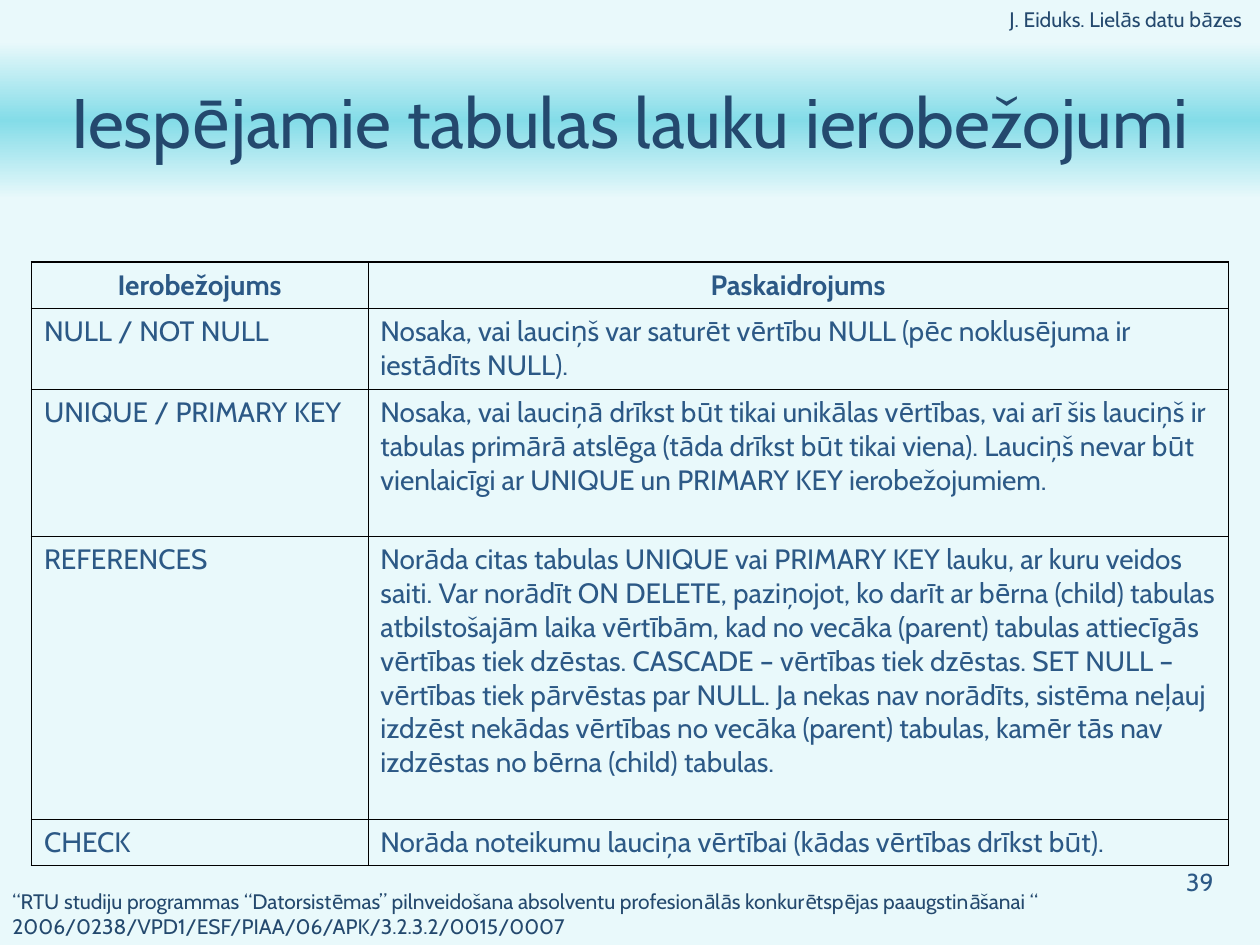
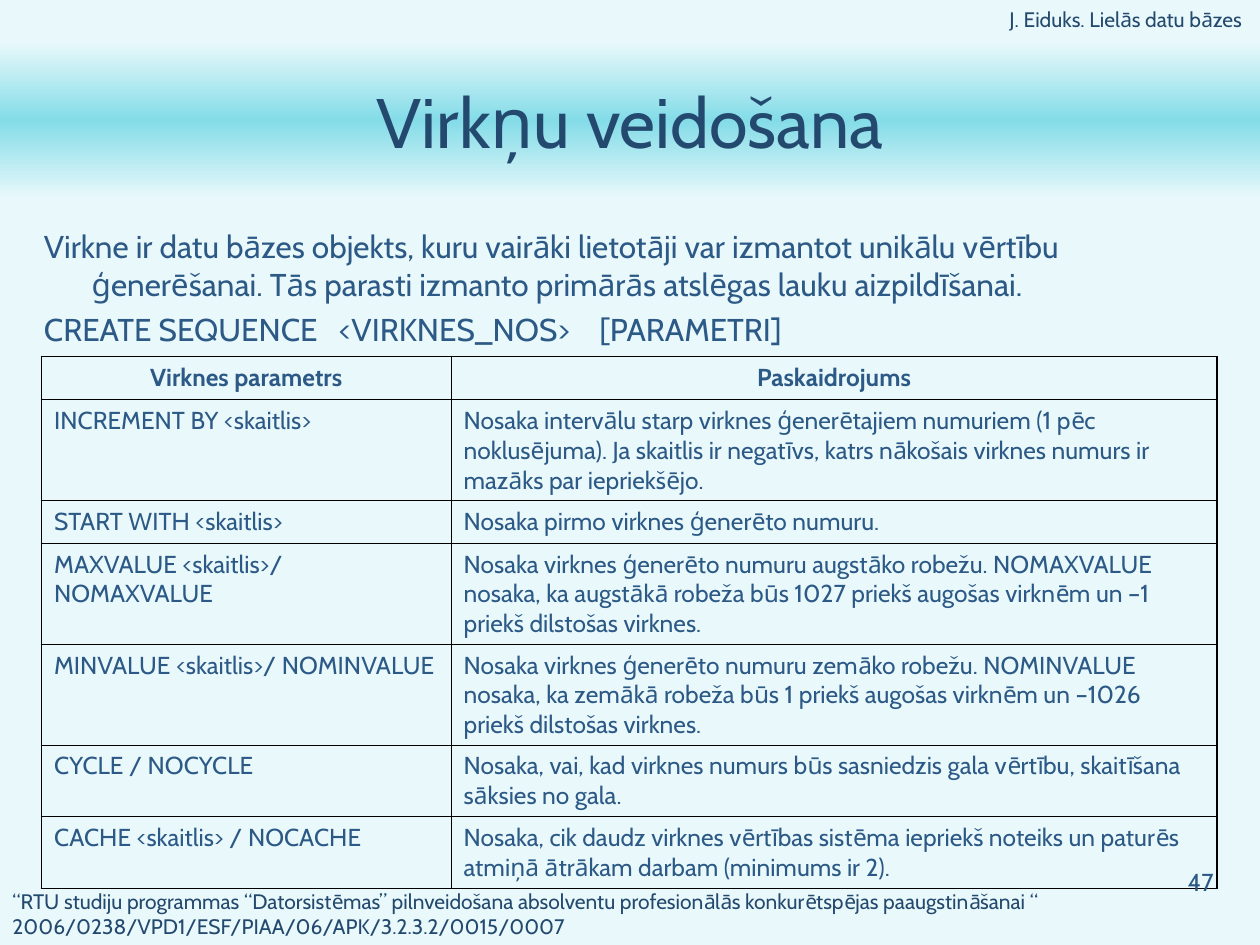
from dataclasses import dataclass

from lxml.etree import SubElement
from pptx import Presentation
from pptx.dml.color import RGBColor
from pptx.enum.shapes import MSO_SHAPE
from pptx.enum.text import MSO_ANCHOR, PP_ALIGN
from pptx.oxml import parse_xml
from pptx.oxml.ns import nsdecls, qn
from pptx.slide import Slide
from pptx.util import Inches, Pt

FONT = "Cabin"
PALE, AQUA, NAVY, BLUE, BLACK = "E9F9FB", "84DCE8", "24496E", "2C5986", "000000"
THICK, THIN = 1.08, 0.45
HEADER = "J. Eiduks. Lielās datu bāzes"
FOOTER = (
    "“RTU studiju programmas “Datorsistēmas” pilnveidošana absolventu "
    "profesionālās konkurētspējas paaugstināšanai “\n"
    "2006/0238/VPD1/ESF/PIAA/06/APK/3.2.3.2/0015/0007"
)


@dataclass
class Box:
    """A place on the slide, in inches."""
    left: float
    top: float
    width: float
    height: float

    def place(self) -> tuple:
        """Give the four lengths in the order python-pptx takes them."""
        return tuple(map(Inches, (self.left, self.top, self.width, self.height)))


@dataclass
class Style:
    """The look of a text."""
    size: float
    color: str
    align: PP_ALIGN = PP_ALIGN.LEFT
    bold: bool = False


@dataclass
class Grid:
    """A table with its header in the first row."""
    box: Box
    size: float
    cols: list[float]
    heights: list[float]
    rows: list[tuple[str, str]]


@dataclass
class Page:
    """The content of one slide."""
    title: str
    number: str
    grid: Grid
    intro: str = ""


TITLE = Style(40, NAVY, PP_ALIGN.CENTER)
HEAD = Style(12, NAVY, PP_ALIGN.RIGHT)
FOOT = Style(12, NAVY)
COUNT = Style(14, BLUE, PP_ALIGN.RIGHT)
BODY = Style(18, BLUE)

PAGES = [
    Page("Iespējamie tabulas lauku ierobežojumi", "39", Grid(
        Box(0.25, 2.08, 9.5, 4.79), 16, [2.67, 6.83], [0.37, 0.64, 1.17, 2.24, 0.37], [
            ("Ierobežojums", "Paskaidrojums"),
            ("NULL / NOT NULL",
             "Nosaka, vai lauciņš var saturēt vērtību NULL (pēc noklusējuma ir "
             "iestādīts NULL)."),
            ("UNIQUE / PRIMARY KEY",
             "Nosaka, vai lauciņā drīkst būt tikai unikālas vērtības, vai arī šis "
             "lauciņš ir tabulas primārā atslēga (tāda drīkst būt tikai viena). "
             "Lauciņš nevar būt vienlaicīgi ar UNIQUE un PRIMARY KEY ierobežojumiem."),
            ("REFERENCES",
             "Norāda citas tabulas UNIQUE vai PRIMARY KEY lauku, ar kuru veidos saiti. "
             "Var norādīt ON DELETE, paziņojot, ko darīt ar bērna (child) tabulas "
             "atbilstošajām laika vērtībām, kad no vecāka (parent) tabulas attiecīgās "
             "vērtības tiek dzēstas. CASCADE – vērtības tiek dzēstas. SET NULL – "
             "vērtības tiek pārvēstas par NULL. Ja nekas nav norādīts, sistēma neļauj "
             "izdzēst nekādas vērtības no vecāka (parent) tabulas, kamēr tās nav "
             "izdzēstas no bērna (child) tabulas."),
            ("CHECK", "Norāda noteikumu lauciņa vērtībai (kādas vērtības drīkst būt)."),
        ])),
    Page("Virkņu veidošana", "47", Grid(
        Box(0.33, 2.83, 9.33, 4.22), 14, [3.25, 6.08],
        [0.34, 0.8, 0.34, 0.8, 0.8, 0.57, 0.57], [
            ("Virknes parametrs", "Paskaidrojums"),
            ("INCREMENT BY <skaitlis>",
             "Nosaka intervālu starp virknes ģenerētajiem numuriem (1 pēc noklusējuma). "
             "Ja skaitlis ir negatīvs, katrs nākošais virknes numurs ir mazāks par "
             "iepriekšējo."),
            ("START WITH <skaitlis>", "Nosaka pirmo virknes ģenerēto numuru."),
            ("MAXVALUE <skaitlis>/ NOMAXVALUE",
             "Nosaka virknes ģenerēto numuru augstāko robežu. NOMAXVALUE nosaka, ka "
             "augstākā robeža būs 1027 priekš augošas virknēm un –1 priekš dilstošas "
             "virknes."),
            ("MINVALUE <skaitlis>/ NOMINVALUE",
             "Nosaka virknes ģenerēto numuru zemāko robežu. NOMINVALUE nosaka, ka "
             "zemākā robeža būs 1 priekš augošas virknēm un –1026 priekš dilstošas "
             "virknes."),
            ("CYCLE / NOCYCLE",
             "Nosaka, vai, kad virknes numurs būs sasniedzis gala vērtību, skaitīšana "
             "sāksies no gala."),
            ("CACHE <skaitlis> / NOCACHE",
             "Nosaka, cik daudz virknes vērtības sistēma iepriekš noteiks un paturēs "
             "atmiņā ātrākam darbam (minimums ir 2)."),
        ]),
        "Virkne ir datu bāzes objekts, kuru vairāki lietotāji var izmantot unikālu "
        "vērtību ģenerēšanai. Tās parasti izmanto primārās atslēgas lauku "
        "aizpildīšanai.\nCREATE SEQUENCE\t<VIRKNES_NOS>\t[PARAMETRI]"),
]


def paint(target, color: str) -> None:
    """Set a colour format from a hex string."""
    target.rgb = RGBColor.from_string(color)


def write(frame, text: str, style: Style) -> None:
    """Fill a text frame and format its runs."""
    frame.word_wrap = True
    frame.text = text
    for para in frame.paragraphs:
        para.alignment = style.align
        for run in para.runs:
            run.font.name = FONT
            run.font.size = Pt(style.size)
            run.font.bold = style.bold
            paint(run.font.color, style.color)


def label(slide: Slide, box: Box, text: str, style: Style):
    """Add a text box and return its frame."""
    frame = slide.shapes.add_textbox(*box.place()).text_frame
    write(frame, text, style)
    return frame


def band(slide: Slide, text: str) -> None:
    """Draw the title on its fading band."""
    shape = slide.shapes.add_shape(MSO_SHAPE.RECTANGLE, *Box(0, 0.33, 10, 1.25).place())
    shape.shadow.inherit = False
    shape.line.fill.background()
    stops = "".join(
        f'<a:gs pos="{pos}"><a:srgbClr val="{color}"/></a:gs>'
        for pos, color in ((0, PALE), (50000, AQUA), (100000, PALE)))
    fade = parse_xml(f'<a:gradFill {nsdecls("a")}><a:gsLst>{stops}</a:gsLst>'
                     '<a:lin ang="5400000" scaled="0"/></a:gradFill>')
    shape._element.spPr.find(qn("a:prstGeom")).addnext(fade)
    shape.text_frame.vertical_anchor = MSO_ANCHOR.MIDDLE
    write(shape.text_frame, text, TITLE)


def intro(slide: Slide, text: str) -> None:
    """Add the opening text with a hanging indent and a tabbed command."""
    frame = label(slide, Box(0.25, 1.75, 9.5, 1.08), text, BODY)
    lead, code = frame.paragraphs
    props = lead._p.get_or_add_pPr()
    props.set("marL", str(Inches(0.38)))
    props.set("indent", str(-Inches(0.38)))
    code.space_before = Pt(4.5)
    tabs = SubElement(code._p.get_or_add_pPr(), qn("a:tabLst"))
    for pos in (2.34, 4.41):
        SubElement(tabs, qn("a:tab"), pos=str(Inches(pos)), algn="l")


def edge(cell, outer: dict[str, bool]) -> None:
    """Rule the four sides of a cell, thick on the rim of the table."""
    props = cell._tc.get_or_add_tcPr()
    for index, (side, rim) in enumerate(outer.items()):
        width = Pt(THICK if rim else THIN)
        props.insert(index, parse_xml(
            f'<a:ln{side} {nsdecls("a")} w="{width}"><a:solidFill>'
            f'<a:srgbClr val="{BLACK}"/></a:solidFill></a:ln{side}>'))


def chart(slide: Slide, grid: Grid) -> None:
    """Draw a ruled table."""
    rows, cols = len(grid.rows), len(grid.cols)
    table = slide.shapes.add_table(rows, cols, *grid.box.place()).table
    table.first_row = table.horz_banding = False
    for col, width in zip(table.columns, grid.cols):
        col.width = Inches(width)
    plain = Style(grid.size, BLUE)
    bold = Style(grid.size, BLUE, PP_ALIGN.CENTER, True)
    for r, texts in enumerate(grid.rows):
        table.rows[r].height = Inches(grid.heights[r])
        for c, text in enumerate(texts):
            cell = table.cell(r, c)
            cell.fill.background()
            write(cell.text_frame, text, plain if r else bold)
            edge(cell, {"L": c == 0, "R": c == cols - 1, "T": r == 0, "B": r == rows - 1})


def build(deck, page: Page) -> None:
    """Add one slide."""
    slide = deck.slides.add_slide(deck.slide_layouts[6])
    slide.background.fill.solid()
    paint(slide.background.fill.fore_color, PALE)
    label(slide, Box(0, 7, 10, 0.5), FOOTER, FOOT)
    band(slide, page.title)
    if page.intro:
        intro(slide, page.intro)
    chart(slide, page.grid)
    head = label(slide, Box(1.83, 0, 8.17, 0.21), HEADER, HEAD)
    head.margin_right = Inches(0.14)
    label(slide, Box(8.84, 6.83, 0.89, 0.5), page.number, COUNT)


def main() -> None:
    """Build and save the deck."""
    deck = Presentation()
    deck.slide_width, deck.slide_height = Inches(10), Inches(7.5)
    for page in PAGES:
        build(deck, page)
    deck.save("out.pptx")


if __name__ == "__main__":
    main()
